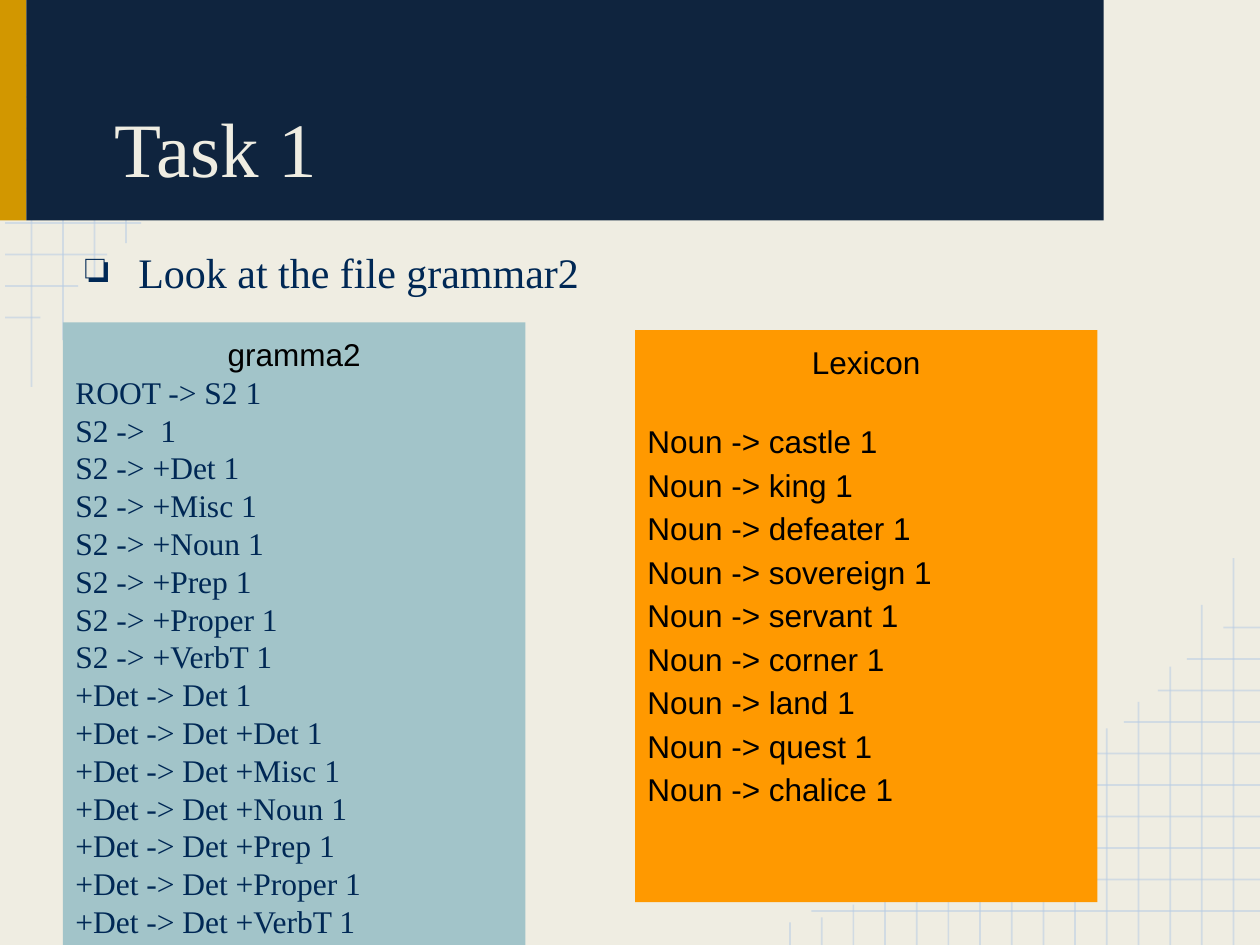
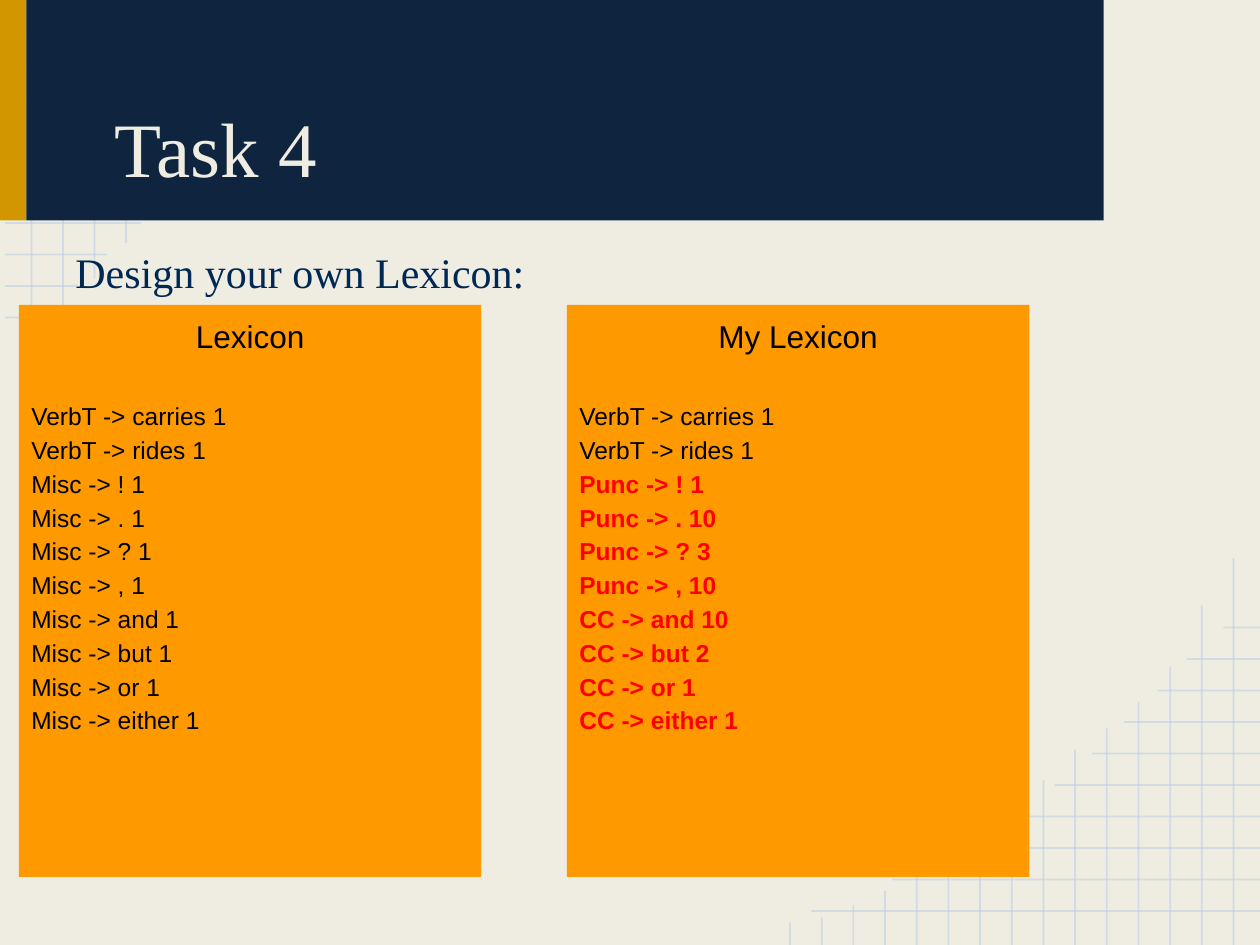
"""Build two grammar-task slides that share one decorated title layout."""
from typing import NamedTuple

from lxml.etree import SubElement
from pptx import Presentation
from pptx.dml.color import RGBColor
from pptx.enum.shapes import MSO_CONNECTOR, MSO_SHAPE
from pptx.enum.text import MSO_ANCHOR, MSO_AUTO_SIZE, PP_ALIGN
from pptx.oxml.ns import qn
from pptx.util import Inches, Pt

CREAM = RGBColor(0xEF, 0xED, 0xE2)
NAVY = RGBColor(0x0F, 0x24, 0x3E)
GOLD = RGBColor(0xD2, 0x97, 0x00)
GRID_BLUE = RGBColor(0xB7, 0xCC, 0xE4)
INK_BLUE = RGBColor(0x00, 0x28, 0x55)
TEAL = RGBColor(0xA2, 0xC4, 0xC9)
ORANGE = RGBColor(0xFF, 0x99, 0x00)
BLACK = RGBColor(0, 0, 0)
RED = RGBColor(0xFF, 0, 0)
SERIF, SANS = "Times New Roman", "Arial"

WIDTH, HEIGHT = 10, 7.5
PITCH = 0.25
PANEL_WIDTH = 3.67
LEXICON_HEIGHT = 4.54

TOP_ROW_ENDS = (3.59, 2.95, 2.41, 2.07, 1.67, 1.37, 1.12, 0.85, 0.62, 0.32)
TOP_COLUMN_ENDS = (3.07, 2.7, 2.21, 1.93)
TOP_FAR_COLUMN_ENDS = (0.96, 0.82, 0.64, 0.43, 0.32, 0.22, 0.18)
BOTTOM_ROW_STARTS = (6.44, 7.08, 7.63, 7.96, 8.37, 8.67, 8.92, 9.19, 9.42, 9.71)
BOTTOM_COLUMN_TOPS = (4.43, 4.8, 5.29, 5.57, 5.78, 5.95, 6.19, 6.35,
                      6.54, 6.68, 6.86, 7.07, 7.18, 7.28, 7.32)
BOTTOM_PITCH = (9.79 - 6.27) / (len(BOTTOM_COLUMN_TOPS) - 1)


class TextStyle(NamedTuple):
    """Look of one run of text."""
    size: float
    font: str
    color: RGBColor
    bold: bool = False


class Rules(NamedTuple):
    """Consecutive grammar rules in one style."""
    entries: tuple[str, ...]
    style: TextStyle


class Panel(NamedTuple):
    """Coloured box with a heading and its rules."""
    heading: str
    left: float
    top: float
    height: float
    fill: RGBColor
    blocks: tuple[Rules, ...]
    heading_gap: float = 0
    spacing: float = 1.0


class Task(NamedTuple):
    """Content of one slide."""
    title: str
    instruction: str
    panels: tuple[Panel, ...]
    bullet: str = ""


TITLE = TextStyle(44, SERIF, CREAM)
INSTRUCTION = TextStyle(24, SERIF, INK_BLUE)
HEADING = TextStyle(18, SANS, BLACK)
GRAMMAR = TextStyle(18, SERIF, INK_BLUE)
ENTRY = TextStyle(14, SANS, BLACK)
CHANGED = TextStyle(14, SANS, RED, True)

CATEGORIES = ("Det", "Misc", "Noun", "Prep", "Proper", "VerbT")
GRAMMAR_RULES = ("ROOT -> S2 1", "S2 ->  1",
                 *(f"S2 -> +{category} 1" for category in CATEGORIES),
                 "+Det -> Det 1",
                 *(f"+Det -> Det +{category} 1" for category in CATEGORIES))
NOUNS = tuple(f"Noun -> {noun} 1" for noun in (
    "castle", "king", "defeater", "sovereign", "servant",
    "corner", "land", "quest", "chalice"))
VERBS = ("VerbT -> carries 1", "VerbT -> rides 1")
MISC = tuple(f"Misc -> {word} 1"
             for word in ("!", ".", "?", ",", "and", "but", "or", "either"))
REWEIGHTED = ("Punc -> ! 1", "Punc -> . 10", "Punc -> ? 3", "Punc -> , 10",
              "CC -> and 10", "CC -> but 2", "CC -> or 1", "CC -> either 1")

TASKS = (
    Task("Task 1", "Look at the file grammar2", (
        Panel("gramma2", 0.5, 2.56, 4.94, TEAL, (Rules(GRAMMAR_RULES, GRAMMAR),)),
        Panel("Lexicon", 5.04, 2.62, LEXICON_HEIGHT, ORANGE,
              (Rules(NOUNS, HEADING),), 20.7, 1.15),
    ), bullet="❏"),
    Task("Task 4", "Design your own Lexicon:", (
        Panel("Lexicon", 0.15, 2.42, LEXICON_HEIGHT, ORANGE,
              (Rules(VERBS + MISC, ENTRY),), 23.8, 1.15),
        Panel("My Lexicon", 4.5, 2.42, LEXICON_HEIGHT, ORANGE,
              (Rules(VERBS, ENTRY), Rules(REWEIGHTED, CHANGED)), 23.8, 1.15),
    )),
)


def add_text(paragraph, text: str, style: TextStyle) -> None:
    """Append one styled run."""
    run = paragraph.add_run()
    run.text = text
    run.font.size = Pt(style.size)
    run.font.name = style.font
    run.font.bold = style.bold
    run.font.color.rgb = style.color


def set_frame(frame, anchor=MSO_ANCHOR.TOP) -> None:
    """Give a text frame the shared insets, wrapping and anchor."""
    frame.word_wrap = True
    frame.auto_size = MSO_AUTO_SIZE.NONE
    frame.vertical_anchor = anchor
    frame.margin_left = frame.margin_right = Inches(0.1)
    frame.margin_top = frame.margin_bottom = Inches(0.1)


def set_indent(paragraph, margin: float, first_line: float) -> None:
    """Set the left margin and first-line indent of a paragraph."""
    properties = paragraph._p.get_or_add_pPr()
    properties.set("marL", str(Inches(margin)))
    properties.set("indent", str(Inches(first_line)))


def set_bullet(paragraph, character: str, color: RGBColor) -> None:
    """Put a coloured bullet character before a paragraph."""
    properties = paragraph._p.get_or_add_pPr()
    bullet_color = SubElement(properties, qn("a:buClr"))
    SubElement(bullet_color, qn("a:srgbClr"), val=str(color))
    SubElement(properties, qn("a:buChar"), char=character)


def add_rectangle(shapes, left: float, top: float, width: float, height: float,
                  fill: RGBColor):
    """Draw a plain filled rectangle."""
    rectangle = shapes.add_shape(MSO_SHAPE.RECTANGLE, Inches(left), Inches(top),
                                 Inches(width), Inches(height))
    rectangle.shadow.inherit = False
    rectangle.fill.solid()
    rectangle.fill.fore_color.rgb = fill
    rectangle.line.fill.background()
    return rectangle


def add_grid_line(shapes, x1: float, y1: float, x2: float, y2: float) -> None:
    """Draw one faint grid line."""
    grid_line = shapes.add_connector(MSO_CONNECTOR.STRAIGHT, Inches(x1), Inches(y1),
                                     Inches(x2), Inches(y2))
    grid_line.line.width = Pt(1)
    grid_line.line.color.rgb = GRID_BLUE
    properties = grid_line.element.spPr
    color = properties.find(".//" + qn("a:srgbClr"))
    SubElement(color, qn("a:alpha"), val="53000")
    SubElement(properties, qn("a:effectLst"))


def draw_top_grid(shapes) -> None:
    """Draw the grid that fades out from the top left corner."""
    for row, end in enumerate(TOP_ROW_ENDS):
        y = 0.27 + row * PITCH
        add_grid_line(shapes, 0.04, y, end, y)
    for first, ends in ((0.25, TOP_COLUMN_ENDS), (2.26, TOP_FAR_COLUMN_ENDS)):
        for column, end in enumerate(ends):
            x = first + column * PITCH
            add_grid_line(shapes, x, end, x, 0)


def draw_bottom_grid(shapes) -> None:
    """Draw the grid that fades out from the bottom right corner."""
    for row, start in enumerate(BOTTOM_ROW_STARTS):
        y = 7.23 - row * PITCH
        add_grid_line(shapes, WIDTH, y, start, y)
    for column, top in enumerate(BOTTOM_COLUMN_TOPS):
        x = 9.79 - column * BOTTOM_PITCH
        add_grid_line(shapes, x, top, x, HEIGHT)


def draw_title_band(shapes) -> None:
    """Draw the gold edge and the navy title band."""
    add_rectangle(shapes, 0, -0.01, 0.21, 1.76, GOLD)
    add_rectangle(shapes, 0.21, -0.01, 8.55, 1.76, NAVY)


def decorate_layout(layout, slide) -> None:
    """Compose the shared decoration on a slide and hand it to the layout."""
    layout.background.fill.solid()
    layout.background.fill.fore_color.rgb = CREAM
    for placeholder in list(layout.placeholders)[1:]:
        layout.shapes.element.remove(placeholder.element)
    for draw in (draw_top_grid, draw_bottom_grid, draw_title_band):
        group = slide.shapes.add_group_shape()
        draw(group.shapes)
        layout.shapes.element.append(group.element)


def fill_title(title, text: str) -> None:
    """Place and format the title placeholder."""
    title.left, title.top = Inches(0.5), Inches(0.15)
    title.width, title.height = Inches(8), Inches(1.48)
    set_frame(title.text_frame, MSO_ANCHOR.BOTTOM)
    paragraph = title.text_frame.paragraphs[0]
    paragraph.alignment = PP_ALIGN.LEFT
    set_indent(paragraph, 0, 0.31)
    add_text(paragraph, text, TITLE)


def add_instruction(slide, task: Task) -> None:
    """Write the instruction under the title band."""
    instruction = slide.shapes.add_textbox(Inches(0.5), Inches(1.86),
                                           Inches(9), Inches(5.29))
    set_frame(instruction.text_frame)
    paragraph = instruction.text_frame.paragraphs[0]
    if task.bullet:
        set_indent(paragraph, 0.5, -0.42)
        set_bullet(paragraph, task.bullet, INK_BLUE)
    add_text(paragraph, task.instruction, INSTRUCTION)


def add_panel(slide, panel: Panel) -> None:
    """Draw a panel with its heading and rules."""
    box = add_rectangle(slide.shapes, panel.left, panel.top, PANEL_WIDTH,
                        panel.height, panel.fill)
    frame = box.text_frame
    set_frame(frame)
    heading = frame.paragraphs[0]
    heading.alignment = PP_ALIGN.CENTER
    heading.space_after = Pt(panel.heading_gap)
    add_text(heading, panel.heading, HEADING)
    for block in panel.blocks:
        for entry in block.entries:
            paragraph = frame.add_paragraph()
            paragraph.alignment = PP_ALIGN.LEFT
            paragraph.line_spacing = panel.spacing
            add_text(paragraph, entry, block.style)


def main() -> None:
    """Build and save the presentation."""
    deck = Presentation()
    deck.slide_width, deck.slide_height = Inches(WIDTH), Inches(HEIGHT)
    layout = deck.slide_layouts.get_by_name("Title Only")
    slides = [deck.slides.add_slide(layout) for _ in TASKS]
    decorate_layout(layout, slides[0])
    for slide, task in zip(slides, TASKS):
        fill_title(slide.shapes.title, task.title)
        add_instruction(slide, task)
        for panel in task.panels:
            add_panel(slide, panel)
    deck.save("out.pptx")


if __name__ == "__main__":
    main()
